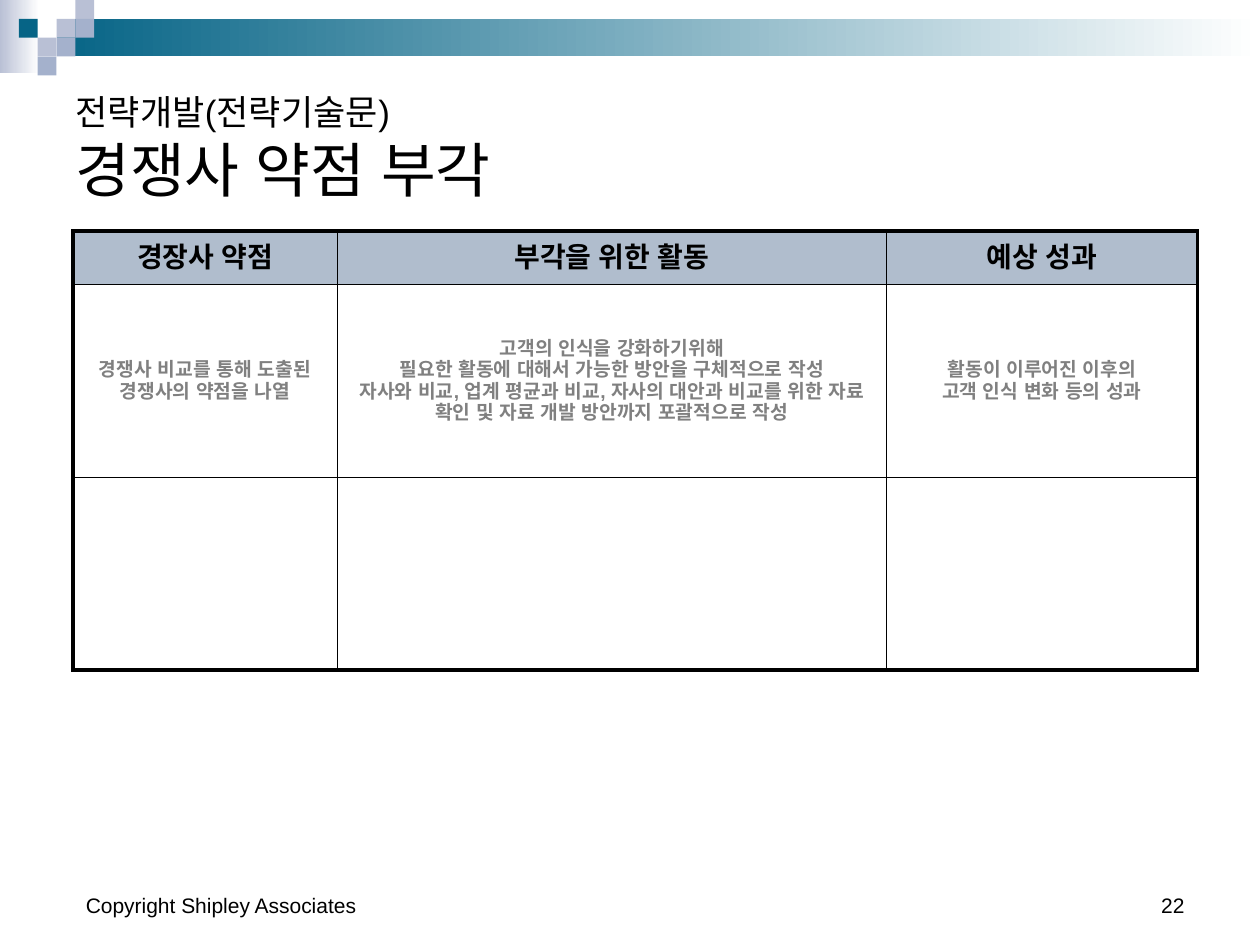
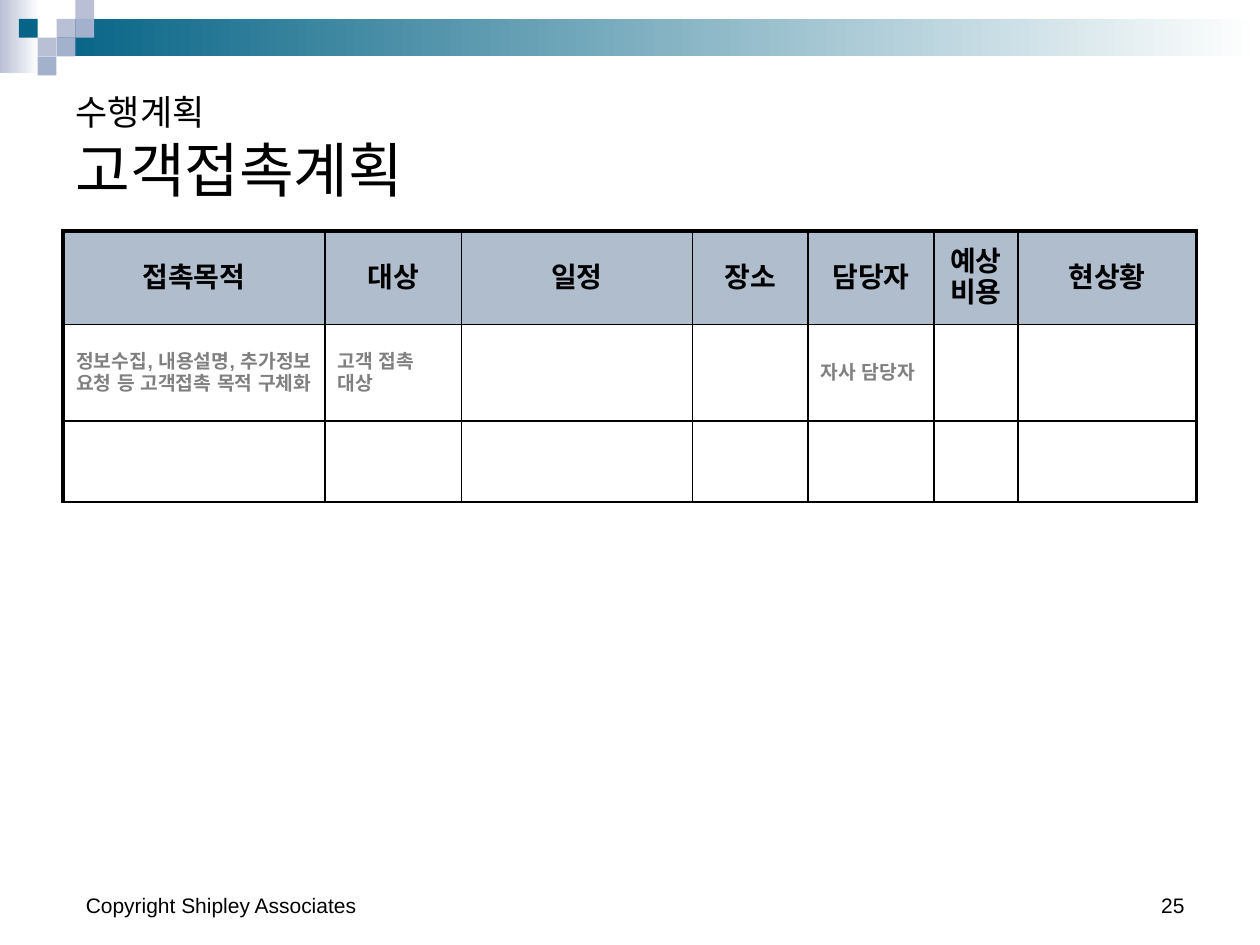
from copy import deepcopy

from lxml.etree import SubElement
from pptx import Presentation
from pptx.dml.color import RGBColor as Rgb
from pptx.enum.shapes import MSO_SHAPE as Shape
from pptx.enum.text import MSO_ANCHOR as Anchor, MSO_AUTO_SIZE as Fit, PP_ALIGN as Align
from pptx.oxml.ns import qn
from pptx.util import Cm, Pt

FONT = "Arial"
COLORS = {
    "ink": "000000", "hint": "808080", "paper": "FFFFFF", "head": "B0BDCD",
    "teal": "066486", "pale": "B9C0D5", "blue": "A4B1CC",
}
FOOTER = "Copyright Shipley Associates"
THICK = 2.25

# In texts, \n starts a paragraph and \v breaks a line.
SLIDES = [
    {
        "topic": "전략개발(전략기술문)", "title": "경쟁사 약점 부각", "number": "22",
        "left": 1.47, "cols": [5.33, 11.07, 6.27], "rows": [1.07, 3.89, 3.89],
        "thin": 0.25, "bottom": THICK, "left_cols": (),
        "head": ["경장사 약점", "부각을 위한 활동", "예상 성과"],
        "hints": [
            "경쟁사 비교를 통해 도출된 경쟁사의 약점을 나열",
            "고객의 인식을 강화하기위해\n"
            "필요한 활동에 대해서 가능한 방안을 구체적으로 작성\n"
            "자사와 비교, 업계 평균과 비교, 자사의 대안과 비교를 위한 자료 "
            "확인 및 자료 개발 방안까지 포괄적으로 작성",
            "활동이 이루어진 이후의\v고객 인식 변화 등의 성과",
        ],
    },
    {
        "topic": "수행계획", "title": "고객접촉계획", "number": "25",
        "left": 1.27, "cols": [5.28, 2.75, 4.66, 2.33, 2.54, 1.69, 3.6],
        "rows": [1.88, 1.95, 1.63],
        "thin": 1, "bottom": 1, "left_cols": (1, 4),
        "head": ["접촉목적", "대상", "일정", "장소", "담당자", "예상비용", "현상황"],
        "hints": [
            "정보수집, 내용설명, 추가정보 요청 등 고객접촉 목적 구체화",
            "고객 접촉 대상", "", "", "자사 담당자", "", "",
        ],
    },
]

# Corner squares as (column, row, colour) on a grid
UNIT = 0.38
SQUARES = [
    (3, 1, "pale"), (4, 0, "pale"), (4, 1, "blue"), (2, 2, "pale"),
    (1, 1, "teal"), (3, 2, "blue"), (2, 3, "blue"),
]


def color(name):
    return Rgb.from_string(COLORS[name])


def style(par, sizes, ink="ink", bold=False, align=Align.LEFT):
    """Format the runs, and each line break like the run before it."""
    par.alignment = align
    for run, size in zip(par.runs, sizes):
        run.font.name = FONT
        run.font.size = Pt(size)
        run.font.bold = bold
        run.font.color.rgb = color(ink)
        SubElement(run.font._element, qn("a:ea"), typeface=FONT)
    for gap in par._p.findall(qn("a:br")):
        gap.insert(0, deepcopy(gap.getprevious().find(qn("a:rPr"))))


def add_box(slide, x, y, w, h, tint, fade=False):
    box = slide.shapes.add_shape(Shape.RECTANGLE, Cm(x), Cm(y), Cm(w), Cm(h))
    box.shadow.inherit = False
    box.line.fill.background()
    if fade:
        box.fill.gradient()
        box.fill.gradient_angle = 0
        for stop, name in zip(box.fill.gradient_stops, (tint, "paper")):
            stop.color.rgb = color(name)
    else:
        box.fill.solid()
        box.fill.fore_color.rgb = color(tint)


def add_band(slide):
    add_box(slide, 0, 0, 0.79, 1.47, "pale", fade=True)
    add_box(slide, 3 * UNIT, UNIT, 25.4 - 3 * UNIT, 2 * UNIT, "teal", fade=True)
    for col, row, tint in SQUARES:
        add_box(slide, col * UNIT, row * UNIT, UNIT, UNIT, tint)


def add_note(slide, x, w, text, align):
    """Add one part of the footer."""
    frame = slide.shapes.add_textbox(Cm(x), Cm(17.36), Cm(w), Cm(1.27)).text_frame
    frame.word_wrap = True
    frame.vertical_anchor = Anchor.BOTTOM
    frame.text = text
    style(frame.paragraphs[0], [12], align=align)


def set_title(slide, topic, title):
    box = slide.shapes.title
    box.left, box.top, box.width, box.height = Cm(1.27), Cm(1.27), Cm(22.86), Cm(2.97)
    frame = box.text_frame
    frame.auto_size = Fit.NONE
    frame.vertical_anchor = Anchor.BOTTOM
    frame.text = f"{topic}\v{title}"
    style(frame.paragraphs[0], [20, 34])


def set_edges(cell, widths):
    """Draw the left, right, top and bottom borders, in points."""
    props = cell._tc.get_or_add_tcPr()
    for spot, (side, width) in enumerate(zip("LRTB", widths)):
        line = SubElement(props, qn(f"a:ln{side}"), w=str(Pt(width)))
        fill = SubElement(line, qn("a:solidFill"))
        SubElement(fill, qn("a:srgbClr"), val=COLORS["ink"])
        props.insert(spot, line)


def add_grid(slide, data):
    cols, rows, thin = data["cols"], data["rows"], data["thin"]
    table = slide.shapes.add_table(
        len(rows), len(cols), Cm(data["left"]), Cm(4.66),
        Cm(sum(cols)), Cm(sum(rows))).table
    table.first_row = table.horz_banding = False
    for col, width in zip(table.columns, cols):
        col.width = Cm(width)
    for row, height in zip(table.rows, rows):
        row.height = Cm(height)

    texts = [data["head"], data["hints"], [""] * len(cols)]
    for r, line in enumerate(texts):
        size, ink, tint = (16, "ink", "head") if r == 0 else (11, "hint", "paper")
        for c, text in enumerate(line):
            cell = table.cell(r, c)
            cell.vertical_anchor = Anchor.MIDDLE
            cell.fill.solid()
            cell.fill.fore_color.rgb = color(tint)
            set_edges(cell, [
                THICK if c == 0 else thin,
                THICK if c == len(cols) - 1 else thin,
                THICK if r == 0 else thin,
                data["bottom"] if r == len(rows) - 1 else thin,
            ])
            if not text:
                continue
            cell.text_frame.text = text
            aside = r > 0 and c in data["left_cols"]
            for par in cell.text_frame.paragraphs:
                style(par, [size] * len(par.runs), ink, True,
                      Align.LEFT if aside else Align.CENTER)


def main():
    deck = Presentation()
    deck.slide_width, deck.slide_height = Cm(25.4), Cm(19.05)
    for data in SLIDES:
        slide = deck.slides.add_slide(deck.slide_layouts[5])
        add_band(slide)
        add_note(slide, 18.21, 5.92, data["number"], Align.RIGHT)
        add_note(slide, 1.48, 8.05, FOOTER, Align.LEFT)
        set_title(slide, data["topic"], data["title"])
        add_grid(slide, data)
    deck.save("out.pptx")


if __name__ == "__main__":
    main()
